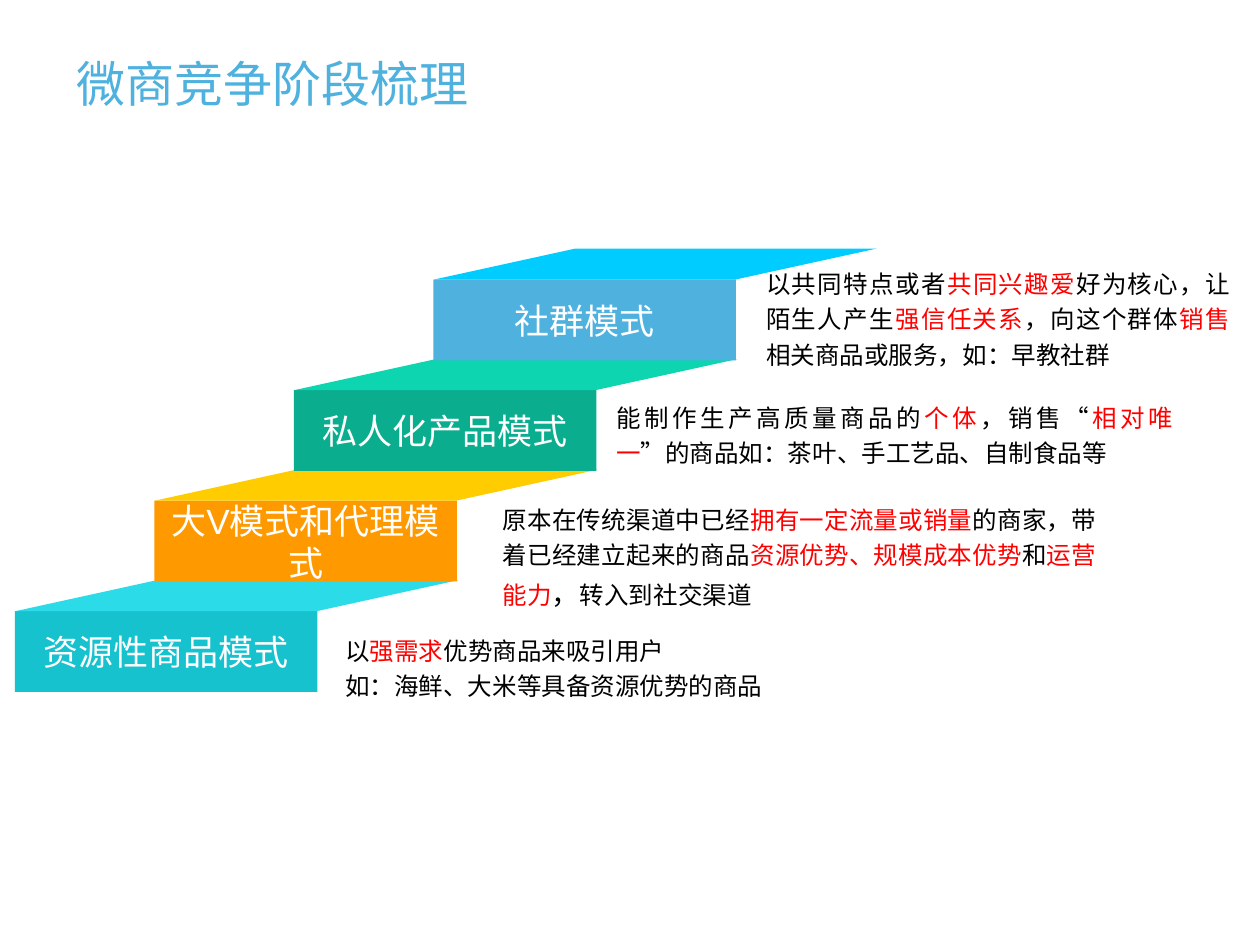
from pptx import Presentation
from pptx.dml.color import RGBColor
from pptx.enum.shapes import MSO_SHAPE
from pptx.enum.text import MSO_ANCHOR, PP_ALIGN
from pptx.util import Pt

BLUE = RGBColor(0x4E, 0xB1, 0xDE)
SKY = RGBColor(0x00, 0xCC, 0xFF)
GREEN = RGBColor(0x0A, 0xAE, 0x8F)
MINT = RGBColor(0x0D, 0xD5, 0xAF)
ORANGE = RGBColor(0xFF, 0x99, 0x00)
YELLOW = RGBColor(0xFF, 0xCC, 0x00)
TEAL = RGBColor(0x17, 0xC2, 0xCF)
AQUA = RGBColor(0x2C, 0xDB, 0xE8)
WHITE = RGBColor(0xFF, 0xFF, 0xFF)
BLACK = RGBColor(0x00, 0x00, 0x00)
RED = RGBColor(0xFF, 0x00, 0x00)

LATIN, CHINESE = "Arial", "Noto Sans CJK SC"
TITLE = "微商竞争阶段梳理"

# Steps from the bottom up: label, front colour, tread colour, note font,
# note box (left, top, width), note paragraphs made of (text, colour, size) runs
STEPS = [
    ("资源性商品模式", TEAL, AQUA, LATIN, (197.3, 360, 336.2), [
        [("以", BLACK, 14), ("强需求", RED, 14), ("优势商品来吸引用户", BLACK, 14)],
        [("如：海鲜、大米等具备资源优势的商品", BLACK, 14)],
    ]),
    ("大V模式和代理模式", ORANGE, YELLOW, LATIN, (287.3, 285.1, 339.1), [
        [("原本在传统渠道中已经", BLACK, 14), ("拥有一定流量或销量", RED, 14),
         ("的商家，带着已经建立起来的商品", BLACK, 14),
         ("资源优势、规模成本优势", RED, 14), ("和", BLACK, 14),
         ("运营能力", RED, 14), ("，", BLACK, 16), ("转入到社交渠道", BLACK, 14)],
    ]),
    ("私人化产品模式", GREEN, MINT, CHINESE, (352.1, 226.8, 318.2), [
        [("能制作生产高质量商品的", BLACK, 14), ("个体", RED, 14),
         ("，销售“", BLACK, 14), ("相对唯一", RED, 14),
         ("”的商品如：茶叶、手工艺品、自制食品等", BLACK, 14)],
    ]),
    ("社群模式", BLUE, SKY, LATIN, (437.8, 150.5, 265), [
        [("以共同特点或者", BLACK, 14), ("共同兴趣爱", RED, 14),
         ("好为核心，让陌生人产生", BLACK, 14), ("强信任关系", RED, 14),
         ("，向这个群体", BLACK, 14), ("销售", RED, 14),
         ("相关商品或服务，如：早教社群", BLACK, 14)],
    ]),
]

FIRST_LEFT, FIRST_TOP = 8.6, 349.3
STEP_RIGHT, STEP_UP = 79.7, 63.15
FRONT_WIDTH, FRONT_HEIGHT = 172.8, 46.1
TREAD_WIDTH, TREAD_DEPTH, TREAD_SHIFT = 172.2, 17.8, 81.2
NOTE_HEIGHT = 64.1


def paint(shape, colour):
    shape.fill.solid()
    shape.fill.fore_color.rgb = colour
    shape.line.fill.background()
    shape.shadow.inherit = False


def add_text_box(slide, left, top, width, height):
    box = slide.shapes.add_textbox(Pt(left), Pt(top), Pt(width), Pt(height))
    box.text_frame.word_wrap = True
    return box.text_frame


def style(paragraph, size, colour):
    paragraph.font.name = LATIN
    paragraph.font.size = Pt(size)
    paragraph.font.color.rgb = colour


def add_front(slide, left, top, label, colour):
    front = slide.shapes.add_shape(
        MSO_SHAPE.RECTANGLE, Pt(left), Pt(top), Pt(FRONT_WIDTH), Pt(FRONT_HEIGHT))
    paint(front, colour)
    frame = front.text_frame
    frame.word_wrap = True
    frame.vertical_anchor = MSO_ANCHOR.MIDDLE
    paragraph = frame.paragraphs[0]
    paragraph.text = label
    paragraph.alignment = PP_ALIGN.CENTER
    style(paragraph, 20, WHITE)


def add_tread(slide, left, bottom, colour):
    """Draw the slanted top face of a step."""
    back, top = left + TREAD_SHIFT, bottom - TREAD_DEPTH
    builder = slide.shapes.build_freeform(Pt(left), Pt(bottom))
    builder.add_line_segments([
        (Pt(back), Pt(top)),
        (Pt(back + TREAD_WIDTH), Pt(top)),
        (Pt(left + TREAD_WIDTH), Pt(bottom)),
    ], close=True)
    paint(builder.convert_to_shape(), colour)


def add_note(slide, place, font_name, paragraphs):
    frame = add_text_box(slide, *place, NOTE_HEIGHT)
    frame.margin_left = frame.margin_right = 0
    frame.margin_top = frame.margin_bottom = 0
    for index, runs in enumerate(paragraphs):
        paragraph = frame.add_paragraph() if index else frame.paragraphs[0]
        paragraph.alignment = PP_ALIGN.JUSTIFY
        paragraph.line_spacing = 1.2
        paragraph.font.name = font_name
        for text, colour, size in runs:
            run = paragraph.add_run()
            run.text = text
            run.font.size = Pt(size)
            run.font.color.rgb = colour


def main():
    presentation = Presentation()
    presentation.slide_width, presentation.slide_height = Pt(720), Pt(540)
    slide = presentation.slides.add_slide(presentation.slide_layouts[6])

    title = add_text_box(slide, 36.7, 19.4, 647.3, 56.2)
    title.vertical_anchor = MSO_ANCHOR.MIDDLE
    title.text = TITLE
    style(title.paragraphs[0], 28, BLUE)

    for index, (label, front, tread, font_name, place, note) in enumerate(STEPS):
        left = FIRST_LEFT + index * STEP_RIGHT
        top = FIRST_TOP - index * STEP_UP
        add_front(slide, left, top, label, front)
        add_tread(slide, left, top, tread)
        add_note(slide, place, font_name, note)

    presentation.save("out.pptx")


if __name__ == "__main__":
    main()
